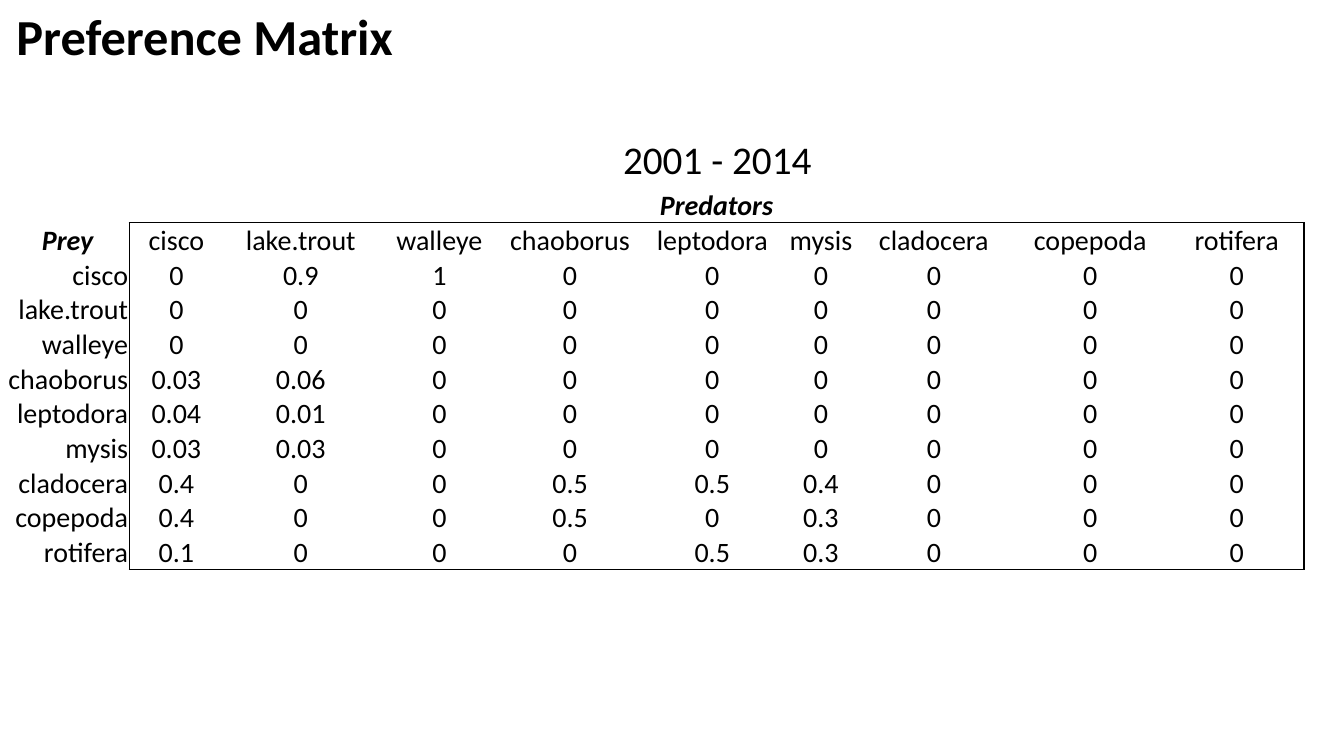
from lxml import etree
from pptx import Presentation
from pptx.dml.color import RGBColor
from pptx.enum.text import MSO_ANCHOR, MSO_AUTO_SIZE, PP_ALIGN
from pptx.oxml.ns import qn
from pptx.util import Pt

PX = 9525
FONT = "Calibri"
COLORS = {"text": "000000", "line": "000000", "cell": "FFFFFF"}
LEFT, CENTER, RIGHT = PP_ALIGN.LEFT, PP_ALIGN.CENTER, PP_ALIGN.RIGHT
TOP, MIDDLE = MSO_ANCHOR.TOP, MSO_ANCHOR.MIDDLE
GROW = MSO_AUTO_SIZE.SHAPE_TO_FIT_TEXT
TITLE_ONLY = 5

SPECIES = ["cisco", "lake.trout", "walleye", "chaoborus", "leptodora",
           "mysis", "cladocera", "copepoda", "rotifera"]
PREFERENCES = {
    ("cisco", "lake.trout"): "0.9",
    ("cisco", "walleye"): "1",
    ("chaoborus", "cisco"): "0.03",
    ("chaoborus", "lake.trout"): "0.06",
    ("leptodora", "cisco"): "0.04",
    ("leptodora", "lake.trout"): "0.01",
    ("mysis", "cisco"): "0.03",
    ("mysis", "lake.trout"): "0.03",
    ("cladocera", "cisco"): "0.4",
    ("cladocera", "chaoborus"): "0.5",
    ("cladocera", "leptodora"): "0.5",
    ("cladocera", "mysis"): "0.4",
    ("copepoda", "cisco"): "0.4",
    ("copepoda", "chaoborus"): "0.5",
    ("copepoda", "mysis"): "0.3",
    ("rotifera", "cisco"): "0.1",
    ("rotifera", "leptodora"): "0.5",
    ("rotifera", "mysis"): "0.3",
}
COLUMN_WIDTHS = [117, 90, 147, 117, 132, 139, 68, 147, 151, 128]
ROW_HEIGHT = 20


def write(frame, text, size=20, align=LEFT, bold=False, italic=False):
    para = frame.paragraphs[0]
    para.alignment = align
    span = para.add_run()
    span.text = text
    span.font.name = FONT
    span.font.size = Pt(size)
    span.font.bold = bold
    span.font.italic = italic
    span.font.color.rgb = RGBColor.from_string(COLORS["text"])


def place(box, left, top, width, height):
    box.left, box.top = left * PX, top * PX
    box.width, box.height = width * PX, height * PX


def add_label(box, text, **style):
    frame = box.text_frame
    frame.word_wrap = True
    frame.auto_size = GROW
    frame.vertical_anchor = TOP
    write(frame, text, **style)


def set_borders(cell, drawn):
    properties = cell._tc.get_or_add_tcPr()
    for side in "LRTB":
        line = etree.SubElement(properties, qn(f"a:ln{side}"), w=str(Pt(1)))
        if side in drawn:
            fill = etree.SubElement(line, qn("a:solidFill"))
            etree.SubElement(fill, qn("a:srgbClr"), val=COLORS["line"])
        else:
            etree.SubElement(line, qn("a:noFill"))


def matrix_borders(row, column, last):
    rules = {
        "L": row > 0 and column == 1,
        "R": row > 0 and column in (0, last),
        "T": row == 1 and column > 0,
        "B": row in (0, last + 1) and column > 0,
    }
    return [side for side, drawn in rules.items() if drawn]


def format_cell(cell, borders):
    cell.margin_left = cell.margin_right = cell.margin_top = PX
    cell.margin_bottom = 0
    cell.vertical_anchor = MIDDLE
    set_borders(cell, borders)
    cell.fill.solid()
    cell.fill.fore_color.rgb = RGBColor.from_string(COLORS["cell"])


def add_matrix(page, left, top, width, height):
    count = len(SPECIES)
    holder = page.shapes.add_table(count + 2, count + 1, 0, 0, width * PX, height * PX)
    table = holder.table
    table.first_row = table.horz_banding = False
    for column, column_width in zip(table.columns, COLUMN_WIDTHS):
        column.width = column_width * PX
    for row in table.rows:
        row.height = ROW_HEIGHT * PX
    place(holder, left, top, width, height)

    for row in range(count + 2):
        for column in range(count + 1):
            format_cell(table.cell(row, column), matrix_borders(row, column, count))

    table.cell(0, 1).merge(table.cell(0, count))
    for row, column, heading in ((0, 1, "Predators"), (1, 0, "Prey")):
        write(table.cell(row, column).text_frame, heading,
              align=CENTER, bold=True, italic=True)
    for column, predator in enumerate(SPECIES, 1):
        write(table.cell(1, column).text_frame, predator, align=CENTER)
    for row, prey in enumerate(SPECIES, 2):
        write(table.cell(row, 0).text_frame, prey, align=RIGHT)
        for column, predator in enumerate(SPECIES, 1):
            value = PREFERENCES.get((prey, predator), "0")
            write(table.cell(row, column).text_frame, value, align=CENTER)


def main():
    deck = Presentation()
    deck.slide_width, deck.slide_height = 1280 * PX, 720 * PX
    page = deck.slides.add_slide(deck.slide_layouts[TITLE_ONLY])

    add_matrix(page, 6, 179, sum(COLUMN_WIDTHS), 363)

    period = page.shapes.add_textbox(0, 0, 0, 0)
    place(period, 584, 124, 206, 55)
    add_label(period, "2001 - 2014", size=28)

    title = page.shapes.title
    place(title, 6, 0, 471, 68)
    add_label(title, "Preference Matrix", size=36, bold=True)

    deck.save("out.pptx")


if __name__ == "__main__":
    main()
